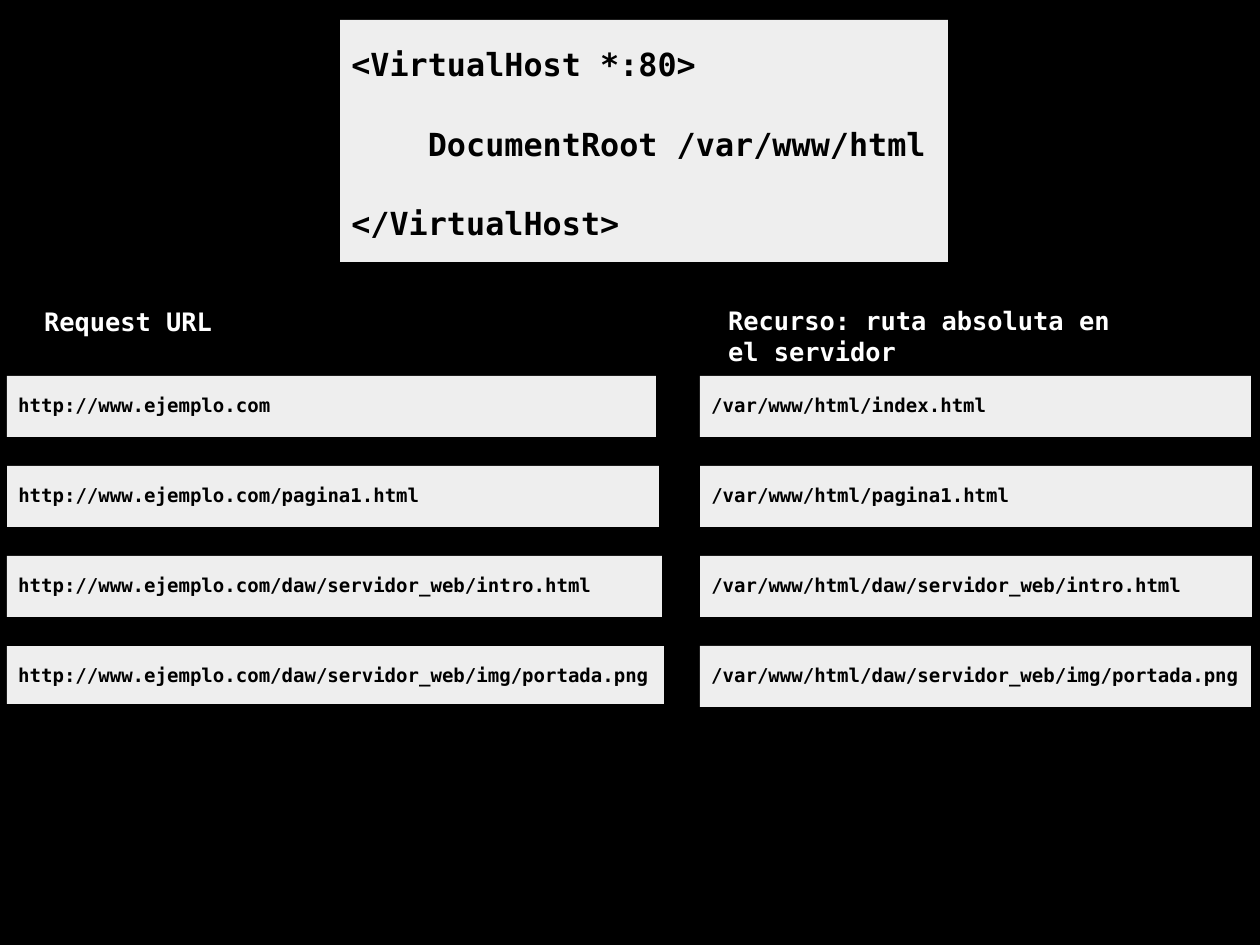
from dataclasses import dataclass

from pptx import Presentation
from pptx.dml.color import RGBColor
from pptx.enum.shapes import MSO_SHAPE
from pptx.enum.text import MSO_ANCHOR, PP_ALIGN
from pptx.util import Pt

RECT = MSO_SHAPE.RECTANGLE
TOP = MSO_ANCHOR.TOP
LEFT = PP_ALIGN.LEFT
PX = 8000


@dataclass(frozen=True)
class Theme:
    font: str = "DejaVu Sans Mono"
    back: RGBColor = RGBColor(0, 0, 0)
    panel: RGBColor = RGBColor(0xEE, 0xEE, 0xEE)
    ink: RGBColor = RGBColor(0, 0, 0)
    light: RGBColor = RGBColor(0xFF, 0xFF, 0xFF)
    code: int = 20
    head: int = 16
    row: int = 12


THEME = Theme()
CODE_GAPS = {"line_spacing": 1.5, "space_after": Pt(14.2)}

CONFIG = ["<VirtualHost *:80>", "    DocumentRoot /var/www/html", "</VirtualHost>"]
# Each row: text, width, height
URLS = [
    ("http://www.ejemplo.com", 649, 61),
    ("http://www.ejemplo.com/pagina1.html", 652, 61),
    ("http://www.ejemplo.com/daw/servidor_web/intro.html", 655, 61),
    ("http://www.ejemplo.com/daw/servidor_web/img/portada.png", 657, 58),
]
PATHS = [
    ("/var/www/html/index.html", 551, 61),
    ("/var/www/html/pagina1.html", 552, 61),
    ("/var/www/html/daw/servidor_web/intro.html", 552, 61),
    ("/var/www/html/daw/servidor_web/img/portada.png", 551, 61),
]


def scale(box):
    return [n * PX for n in box]


def write(shape, lines, size, color, gaps):
    frame = shape.text_frame
    frame.word_wrap = True
    frame.vertical_anchor = TOP
    frame.text = "\n".join(lines)
    style = {"name": THEME.font, "size": Pt(size), "bold": True}
    for para in frame.paragraphs:
        for key, value in {"alignment": LEFT, **gaps}.items():
            setattr(para, key, value)
        for run in para.runs:
            for key, value in style.items():
                setattr(run.font, key, value)
            run.font.color.rgb = color


def add_panel(slide, box, lines, size):
    panel = slide.shapes.add_shape(RECT, *scale(box))
    panel.shadow.inherit = False
    panel.fill.solid()
    panel.fill.fore_color.rgb = THEME.panel
    panel.line.fill.background()
    write(panel, lines, size, THEME.ink, CODE_GAPS)


def add_title(slide, box, lines):
    title = slide.shapes.add_textbox(*scale(box))
    write(title, lines, THEME.head, THEME.light, {})


def add_column(slide, left, top, rows, pitch=90):
    for i, (text, width, height) in enumerate(rows):
        box = (left, top + i * pitch, width, height)
        add_panel(slide, box, [text], THEME.row)


def main():
    deck = Presentation()
    deck.slide_width, deck.slide_height = scale((1260, 945))
    slide = deck.slides.add_slide(deck.slide_layouts[6])
    slide.background.fill.solid()
    slide.background.fill.fore_color.rgb = THEME.back

    add_panel(slide, (340, 20, 608, 242), CONFIG, THEME.code)
    add_title(slide, (33, 300, 194, 41), ["Request URL"])
    add_title(slide, (717, 300, 420, 70),
              ["Recurso: ruta absoluta en", "el servidor"])
    add_column(slide, 7, 376, URLS)
    add_column(slide, 700, 376, PATHS)
    deck.save("out.pptx")


if __name__ == "__main__":
    main()
